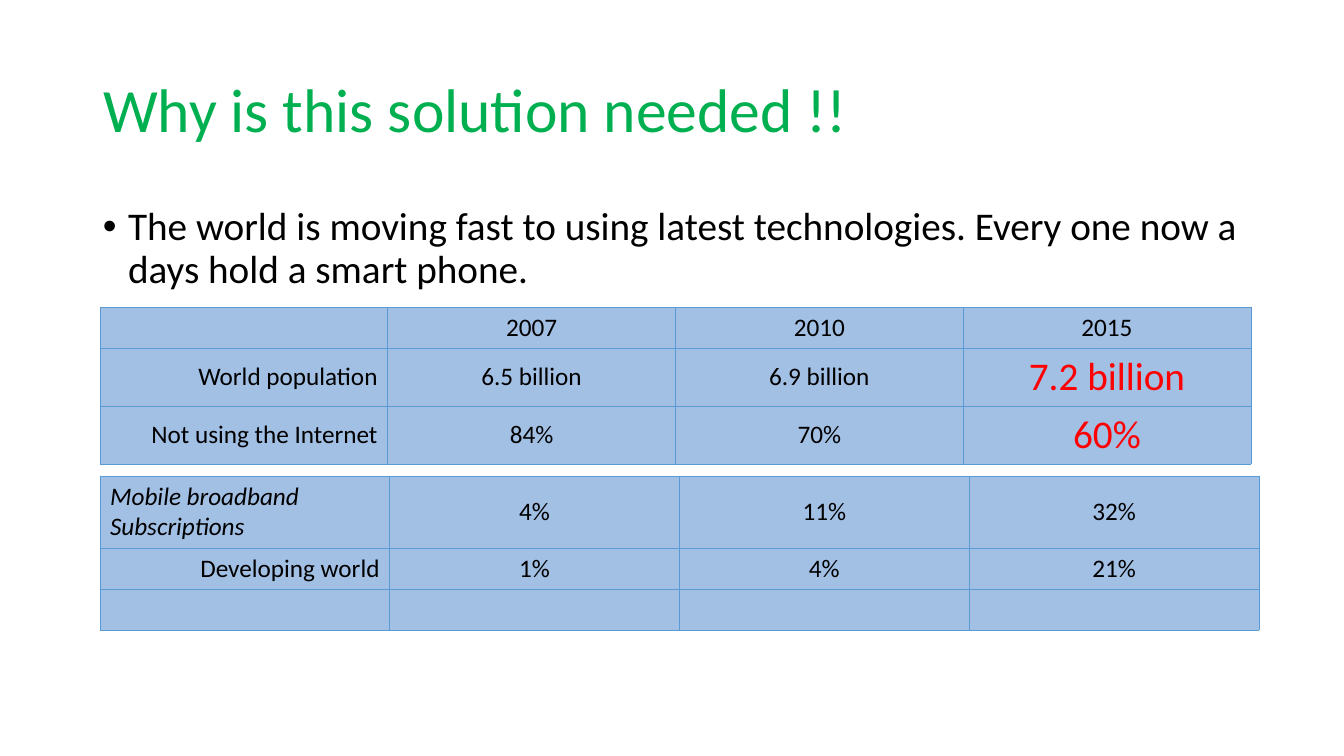
import pptx
import pptx.util
import pptx.dml.color
import pptx.enum.text
import pptx.oxml
import pptx.oxml.ns
from lxml import etree

PX = 914400 / 100.8
LEFT = pptx.enum.text.PP_ALIGN.LEFT
CENTER = pptx.enum.text.PP_ALIGN.CENTER
RIGHT = pptx.enum.text.PP_ALIGN.RIGHT
MIDDLE = pptx.enum.text.MSO_ANCHOR.MIDDLE


def px(*lengths):
    return [pptx.util.Emu(round(n * PX)) for n in lengths]


def write(tf, text, size=18, color="000000", italic=False, align=LEFT, spacing=None):
    """Fill the first paragraph of a text frame and return it."""
    p = tf.paragraphs[0]
    p.alignment = align
    p.line_spacing = spacing
    r = p.add_run()
    r.text = text
    r.font.name = "Calibri"
    r.font.size = pptx.util.Pt(size)
    r.font.italic = italic
    r.font.color.rgb = pptx.dml.color.RGBColor.from_string(color)
    return p


prs = pptx.Presentation()
prs.slide_width, prs.slide_height = px(1344, 756)
s = prs.slides.add_slide(prs.slide_layouts[5])

title = s.shapes.title
title.left, title.top, title.width, title.height = px(93, 40, 1159, 146)
title.text_frame.auto_size = pptx.enum.text.MSO_AUTO_SIZE.NONE
title.text_frame.vertical_anchor = MIDDLE
write(title.text_frame, "Why is this solution needed !!", size=44, color="00B050", spacing=0.9)

body = s.shapes.add_textbox(*px(93, 202, 1159, 480))
body.text_frame.word_wrap = True
p = write(
    body.text_frame,
    "The world is moving fast to using latest technologies. "
    "Every one now a days hold a smart phone.",
    size=28,
    spacing=0.9,
)
p.space_before = pptx.util.Pt(10)
pPr = p._p.get_or_add_pPr()
indent = pptx.util.Inches(0.25)
pPr.set("marL", str(indent))
pPr.set("indent", str(-indent))
etree.SubElement(pPr, pptx.oxml.ns.qn("a:buFont"), typeface="Arial")
etree.SubElement(pPr, pptx.oxml.ns.qn("a:buChar"), char="•")

population = [
    ["", "2007", "2010", "2015"],
    ["World population", "6.5 billion", "6.9 billion", "7.2 billion"],
    ["Not using the Internet", "84%", "70%", "60%"],
]
broadband = [
    ["Mobile broadband Subscriptions", "4%", "11%", "32%"],
    ["Developing world", "1%", "4%", "21%"],
    ["", "", "", ""],
]
highlight = {"size": 28, "color": "FF0000"}
formats = {
    "7.2 billion": highlight,
    "60%": highlight,
    "Mobile broadband Subscriptions": {"italic": True, "align": LEFT},
}
border = (
    '<a:%s xmlns:a="http://schemas.openxmlformats.org/drawingml/2006/main" w="6350">'
    '<a:solidFill><a:srgbClr val="5B9BD5"/></a:solidFill></a:%s>'
)

for rows, top, width, heights in [
    (population, 307, 1151, [41, 58, 58]),
    (broadband, 476, 1159, [72, 41, 41]),
]:
    frame = s.shapes.add_table(3, 4, *px(100, top, width, sum(heights)))
    table = frame.table
    for row, height in zip(table.rows, px(*heights)):
        row.height = height
    for i, texts in enumerate(rows):
        for j, text in enumerate(texts):
            cell = table.cell(i, j)
            cell.vertical_anchor = MIDDLE
            tcPr = cell._tc.get_or_add_tcPr()
            for side in ("lnL", "lnR", "lnT", "lnB"):
                tcPr.append(pptx.oxml.parse_xml(border % (side, side)))
            cell.fill.solid()
            cell.fill.fore_color.rgb = pptx.dml.color.RGBColor.from_string("A2BFE4")
            if text:
                style = {"align": CENTER if j else RIGHT, **formats.get(text, {})}
                write(cell.text_frame, text, **style)

prs.save("out.pptx")
